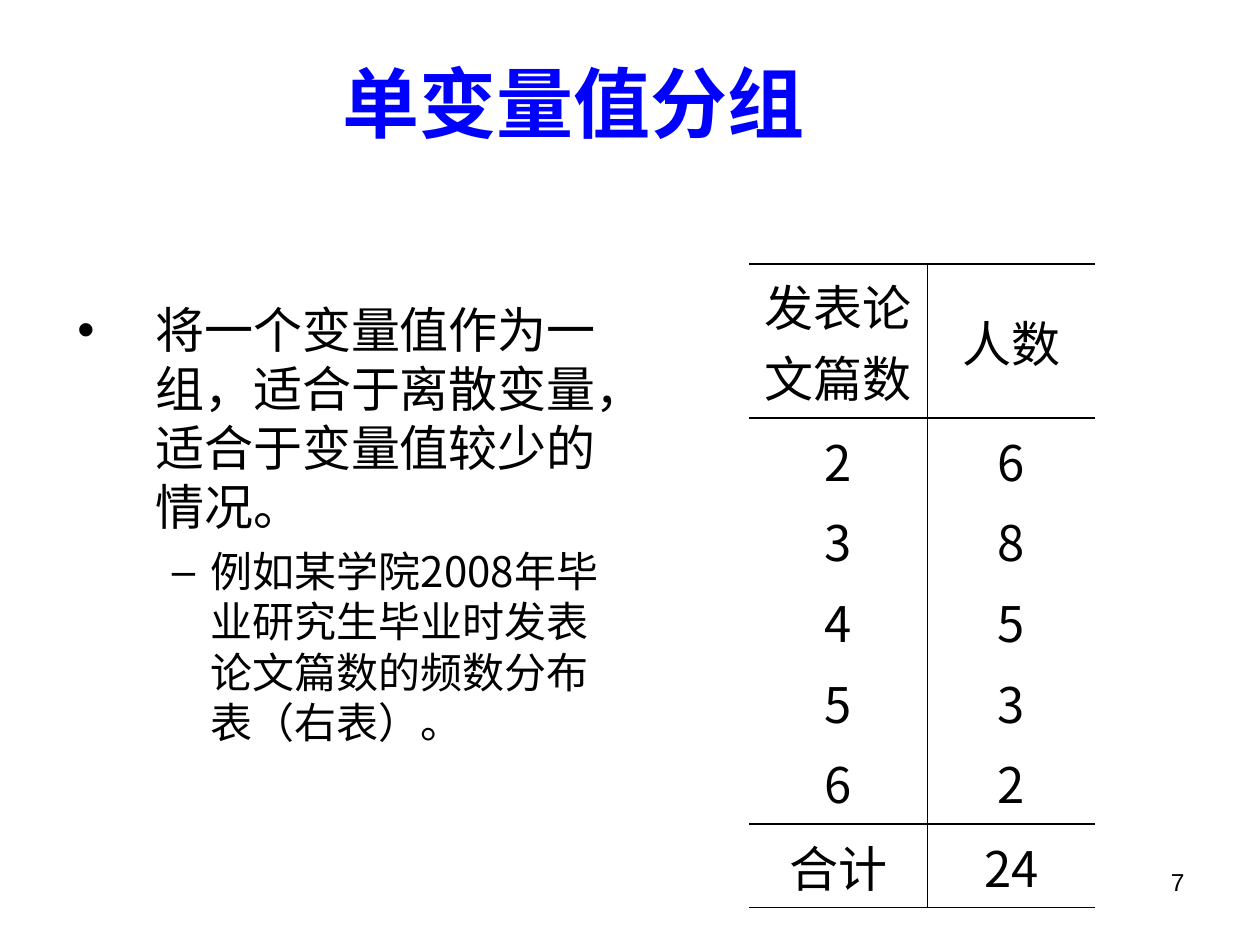
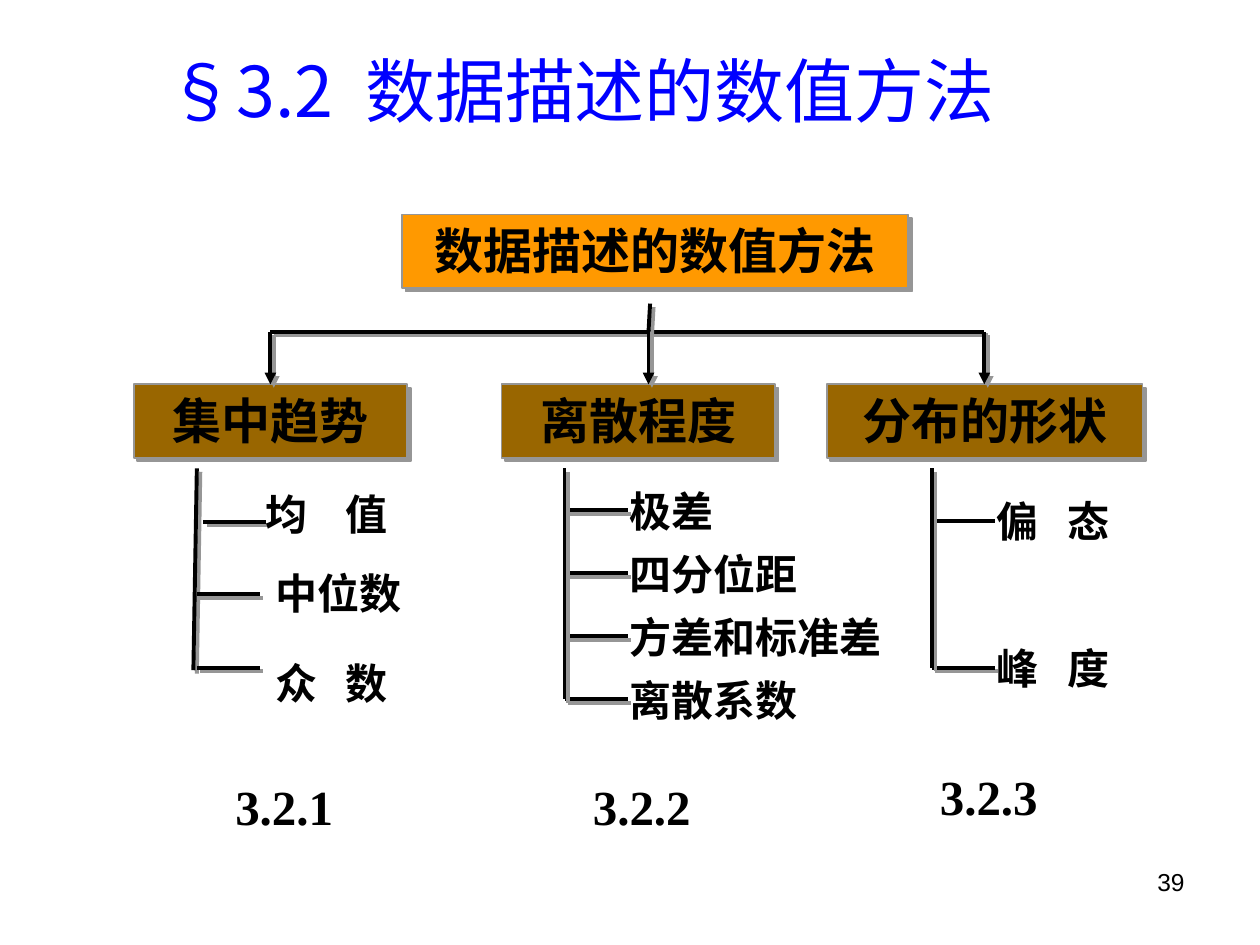
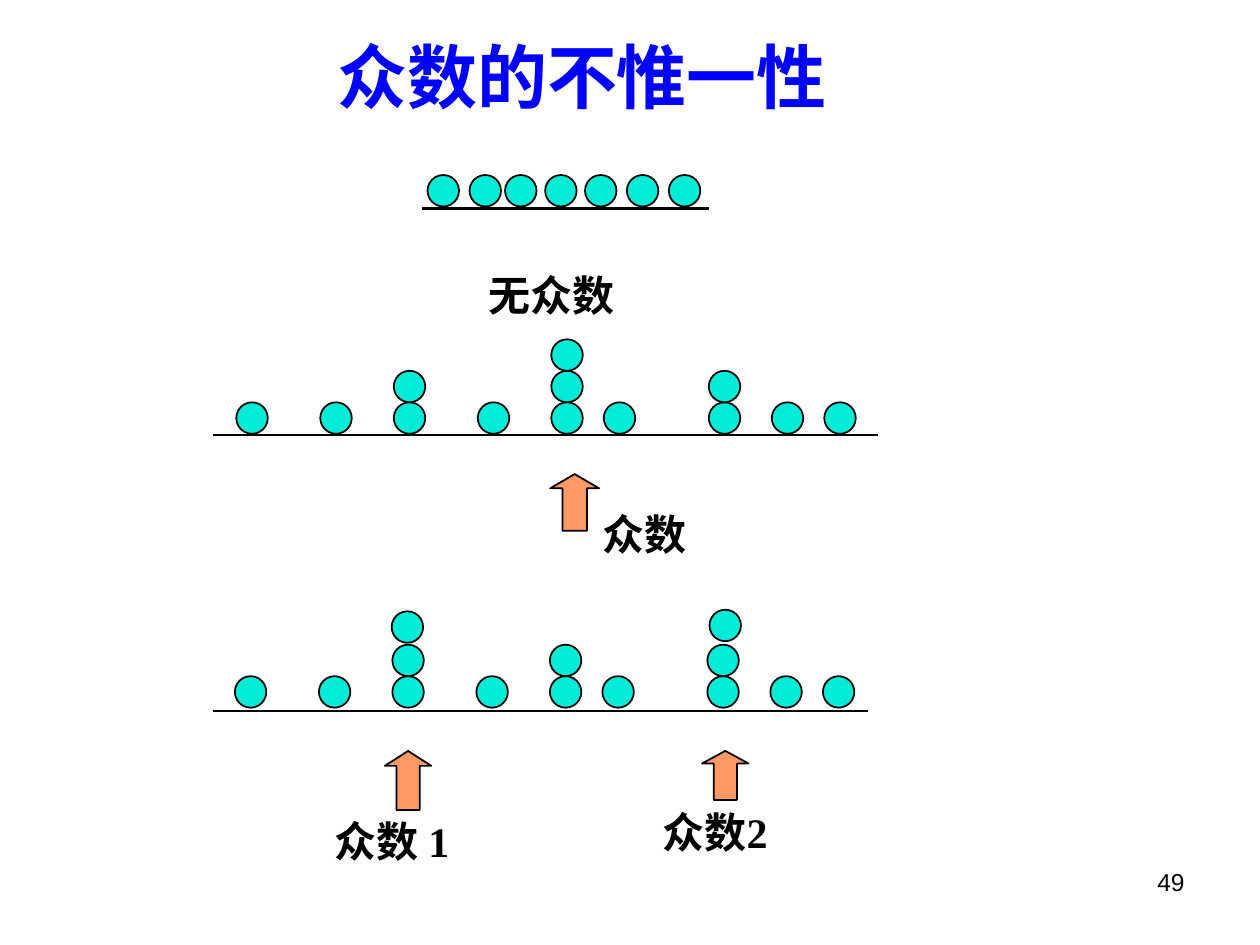
"""Build three statistics slides: a frequency table, a method tree and mode dot plots."""
from dataclasses import dataclass

from lxml import etree
from pptx import Presentation
from pptx import util as u
from pptx.dml import color
from pptx.enum import shapes, text
from pptx.oxml import ns

Pt = u.Pt
BLACK, BLUE, GREY = "000000", "0000FF", "969696"
ORANGE, BROWN, TEAL, SALMON = "FF9900", "996600", "00ECD6", "FF9966"
CJK, SANS, SERIF = "Noto Sans CJK SC", "Arial", "Times New Roman"
LEFT, CENTER, RIGHT = text.PP_ALIGN.LEFT, text.PP_ALIGN.CENTER, text.PP_ALIGN.RIGHT
DOT = 18
LABEL_HEIGHT = 36
FRAME = {
    "word_wrap": True,
    "auto_size": text.MSO_AUTO_SIZE.NONE,
    "vertical_anchor": text.MSO_ANCHOR.MIDDLE,
}


@dataclass
class Leaf:
    """One label of a branch with the twig that leads to it."""
    words: str
    left: float
    top: float
    twig_left: float
    twig_y: float
    gap: float = 0
    shadow: bool = True


@dataclass
class Branch:
    """One column of the method tree."""
    head: str
    left: float
    width: float
    arrow_x: float
    trunk: tuple
    leaves: list
    number: str
    number_at: tuple
    trunk_on_top: bool = True


def rgb(value):
    """Turn a hex string into a colour."""
    return color.RGBColor.from_string(value)


def apply(target, values):
    """Set every attribute named in a dict."""
    for name, value in values.items():
        setattr(target, name, value)


def add_node(parent, tag, **attributes):
    """Append a drawing element with the given attributes."""
    return etree.SubElement(parent, ns.qn(tag), {k: str(v) for k, v in attributes.items()})


def place(item, left, top, width, height):
    """Move and size a shape in points."""
    apply(item, {"left": Pt(left), "top": Pt(top), "width": Pt(width), "height": Pt(height)})


def add_span(para, words, size, font=SANS, ink=BLACK, bold=False, gap=0):
    """Add a formatted span, with extra width after each character if asked."""
    span = para.add_run()
    span.text = words
    apply(span.font, {"size": Pt(size), "name": font, "bold": bold})
    span.font.color.rgb = rgb(ink)
    props = span.font._element
    add_node(props, "a:ea", typeface=CJK)
    if gap:
        props.set("spc", str(round(gap * 100)))


def write(para, words, size, align=LEFT, gap=0, **style):
    """Write a line of text, widening its space when a gap is given."""
    para.alignment = align
    if not gap:
        add_span(para, words, size, **style)
        return
    first, blank, rest = words.partition(" ")
    add_span(para, first, size, **style)
    add_span(para, blank, size, gap=gap, **style)
    add_span(para, rest, size, **style)


def add_label(holder, words, at, size=24, **style):
    """Add a text box with one line."""
    box = holder.add_textbox(0, 0, 0, 0)
    place(box, *at)
    apply(box.text_frame, FRAME)
    write(box.text_frame.paragraphs[0], words, size, **style)


def set_effect(item, shadow):
    """Give a shape the grey offset shadow, or none."""
    effects = add_node(item._element.spPr, "a:effectLst")
    if shadow:
        outer = add_node(effects, "a:outerShdw", dist=Pt(2.8), dir=45 * 60000,
                         algn="ctr", rotWithShape=0)
        add_node(outer, "a:srgbClr", val=GREY)


def add_line(holder, start, end, weight=2.25, arrow=False, shadow=True):
    """Draw a straight line, optionally with an arrowhead at its end."""
    ends = [Pt(value) for value in (*start, *end)]
    line = holder.add_connector(shapes.MSO_CONNECTOR.STRAIGHT, *ends)
    line.line.width = Pt(weight)
    line.line.color.rgb = rgb(BLACK)
    if arrow:
        add_node(line.line._get_or_add_ln(), "a:tailEnd", type="triangle")
    set_effect(line, shadow)


def add_figure(holder, kind, at, fill, edge=BLACK, shadow=False):
    """Draw a filled preset shape with a thin outline."""
    figure = holder.add_shape(kind, 0, 0, 0, 0)
    place(figure, *at)
    figure.fill.solid()
    figure.fill.fore_color.rgb = rgb(fill)
    figure.line.width = Pt(1)
    figure.line.color.rgb = rgb(edge)
    set_effect(figure, shadow)
    return figure


def add_heading(holder, words, at, fill):
    """Draw a shadowed box with a bold centred heading."""
    figure = add_figure(holder, shapes.MSO_SHAPE.RECTANGLE, at, fill, GREY, True)
    apply(figure.text_frame, {**FRAME, "margin_bottom": Pt(4.8)})
    write(figure.text_frame.paragraphs[0], words, 28, CENTER, bold=True)


def add_page(deck, layout, title, at, size, number, **style):
    """Add a slide with its title and page number."""
    page = deck.slides.add_slide(deck.slide_layouts[layout])
    place(page.shapes.title, *at)
    apply(page.shapes.title.text_frame, FRAME)
    write(page.shapes.title.text_frame.paragraphs[0], title, size, CENTER, ink=BLUE, **style)
    add_label(page.shapes, number, (516, 489, 168, 30), 14, align=RIGHT)
    return page


def fill_body(body, at, items):
    """Fill the body placeholder with bulleted items."""
    place(body, *at)
    apply(body.text_frame, {**FRAME, "vertical_anchor": text.MSO_ANCHOR.TOP})
    for index, (words, size, indent, hanging) in enumerate(items):
        para = body.text_frame.paragraphs[0] if index == 0 else body.text_frame.add_paragraph()
        apply(para, {"level": index, "line_spacing": 1.0, "space_before": Pt(5.8 * index)})
        props = para._p.get_or_add_pPr()
        props.set("marL", str(Pt(indent)))
        props.set("indent", str(Pt(-hanging)))
        write(para, words, size, font=CJK)


def set_borders(cell, visible):
    """Draw the named cell borders and hide the others."""
    props = cell._tc.get_or_add_tcPr()
    for side in "LRTB":
        edge = add_node(props, f"a:ln{side}", w=Pt(1))
        if side in visible:
            add_node(add_node(edge, "a:solidFill"), "a:srgbClr", val=BLACK)
        else:
            add_node(edge, "a:noFill")


def add_frequency_table(page, at, widths, heights, rows):
    """Add the ruled table; a cell holds a list of centred lines."""
    frame = page.shapes.add_table(len(rows), len(widths), *[Pt(value) for value in at])
    table = frame.table
    apply(table, {"first_row": False, "horz_banding": False})
    for column, width in zip(table.columns, widths):
        column.width = Pt(width)
    for row, height, values in zip(table.rows, heights, rows):
        row.height = Pt(height)
        for cell, lines, inner in zip(row.cells, values, "RL"):
            set_borders(cell, "TB" + inner)
            cell.fill.background()
            cell.vertical_anchor = text.MSO_ANCHOR.MIDDLE
            for index, words in enumerate(lines):
                para = cell.text_frame.paragraphs[0] if index == 0 else cell.text_frame.add_paragraph()
                para.space_before = Pt(5.6 if index else 0)
                write(para, words, 28, CENTER, font=CJK)


def add_branch(holder, branch):
    """Draw a heading, its trunk, twigs, labels and section number."""
    add_heading(holder, branch.head, (branch.left, 219.6, branch.width, 42), BROWN)
    add_line(holder, (branch.arrow_x, 189.6), (branch.arrow_x, 219.6), arrow=True)
    if not branch.trunk_on_top:
        add_line(holder, *branch.trunk)
    for leaf in branch.leaves:
        add_line(holder, (leaf.twig_left, leaf.twig_y), (leaf.twig_left + 36, leaf.twig_y),
                 shadow=leaf.shadow)
        width = max(96, 24 * len(leaf.words) + 18)
        add_label(holder, leaf.words, (leaf.left, leaf.top, width, LABEL_HEIGHT),
                  gap=leaf.gap, bold=True)
    if branch.trunk_on_top:
        add_line(holder, *branch.trunk)
    add_label(holder, branch.number, (*branch.number_at, 72, 41), 28, font=SERIF, bold=True)


def add_dot_plot(page, axis, stacks, base, labels, arrows=(), loose_dots=()):
    """Draw stacks of dots on an axis, with labels and arrows below."""
    group = page.shapes.add_group_shape().shapes
    start, end, y, weight = axis
    add_line(group, (start, y), (end, y), weight, shadow=False)
    stacked = [(left, base - DOT * level) for left, count in stacks for level in range(count)]
    for left, top in [*stacked, *loose_dots]:
        add_figure(group, shapes.MSO_SHAPE.OVAL, (left, top, DOT, DOT), TEAL)
    for words, left, top in labels:
        add_label(group, words, (left, top, 134, LABEL_HEIGHT), font=SERIF, bold=True)
    for at, tip in arrows:
        arrow = add_figure(group, shapes.MSO_SHAPE.RIGHT_ARROW, at, SALMON)
        arrow.rotation = 270
        arrow.adjustments[1] = tip


def build_grouping(deck):
    """Build the slide on grouping by single values."""
    page = add_page(deck, 1, "单变量值分组", (31, 31.7, 594, 52.6), 44, "7", bold=True)
    fill_body(page.placeholders[1], (37, 167.8, 329, 323.3), [
        ("将一个变量值作为一组，适合于离散变量，适合于变量值较少的情况。", 28, 44.6, 44.6),
        ("例如某学院2008年毕业研究生毕业时发表论文篇数的频数分布表（右表）。", 24, 76.3, 22.3),
    ])
    add_frequency_table(page, (428, 150.8, 198, 317.5), (102, 96), (74.2, 202.3, 41), [
        (["发表论文篇数"], ["人数"]),
        ("23456", "68532"),
        (["合计"], ["24"]),
    ])


def build_methods(deck):
    """Build the tree of numerical description methods."""
    page = add_page(deck, 5, "§3.2 数据描述的数值方法", (42.8, 20.4, 578, 61.2), 40, "39",
                    font=CJK, gap=9)
    holder = page.shapes
    add_heading(holder, "数据描述的数值方法", (229.7, 122.6, 289.4, 42), ORANGE)
    add_line(holder, (154.5, 189.6), (562.5, 189.6))
    add_line(holder, (371.5, 173.5), (370.6, 189.6))
    spread = ["极差", "四分位距", "方差和标准差", "离散系数"]
    branches = [
        Branch("集中趋势", 76.5, 156.3, 154.5, ((112.5, 267.6), (110.5, 383)), [
            Leaf("均 值", 144.7, 275.8, 116.2, 298.2, 16.2),
            Leaf("中位数", 150.5, 320.8, 112.5, 339.6),
            Leaf("众 数", 150.5, 372.2, 112.5, 381.6, 10.4),
        ], "3.2.1", (127.4, 440), False),
        Branch("离散程度", 286.6, 156.3, 370.6, ((322.6, 267.6), (322.6, 399.6)), [
            Leaf(words, 352.8, 273.6 + 36 * index, 322.6, 291.6 + 36 * index)
            for index, words in enumerate(spread)
        ], "3.2.2", (331.7, 440)),
        Branch("分布的形状", 472.5, 180.3, 562.5, ((532.6, 267.6), (532.6, 381.6)), [
            Leaf("偏 态", 562.5, 279.4, 532.6, 297.6, 10.8, False),
            Leaf("峰 度", 562.5, 363.6, 532.6, 381.6, 10.8),
        ], "3.2.3", (530, 434.2)),
    ]
    for branch in branches:
        add_branch(holder, branch)


def build_modes(deck):
    """Build the dot plots with no mode, one mode and two modes."""
    page = add_page(deck, 5, "众数的不惟一性", (87.8, 15, 489.6, 56.2), 40, "49", bold=True)
    flat = [244.3, 268.3, 288.6, 311.5, 334.3, 358.2, 382.2]
    lefts = [135, 183, 225, 273, 315, 345, 405, 441, 471]
    add_dot_plot(page, (241.2, 405.4, 119.2, 1.5), [(left, 1) for left in flat], 100,
                 [("无众数", 271.8, 150.5)])
    add_dot_plot(page, (121.8, 501.8, 248.6, 1), zip(lefts, (1, 1, 2, 1, 3, 1, 2, 1, 1)), 229.9,
                 [("众数", 337.3, 286.8)], [((312.2, 273.1, 32.4, 28), 0.29)])
    add_dot_plot(page, (121.8, 496, 406.2, 1),
                 zip([left - 0.8 for left in lefts], (1, 1, 2, 1, 2, 1, 2, 1, 1)), 386.4,
                 [("众数 1", 184.3, 462.5), ("众数2", 371.5, 457.2)],
                 [((216.3, 432.7, 33.8, 26.6), 0.32), ((400.5, 429.8, 28, 26.6), 0.27)],
                 [(223.8, 349.3), (405.4, 348.4)])


def main():
    """Build and save the deck."""
    deck = Presentation()
    apply(deck, {"slide_width": Pt(720), "slide_height": Pt(540)})
    build_grouping(deck)
    build_methods(deck)
    build_modes(deck)
    deck.save("out.pptx")


if __name__ == "__main__":
    main()
